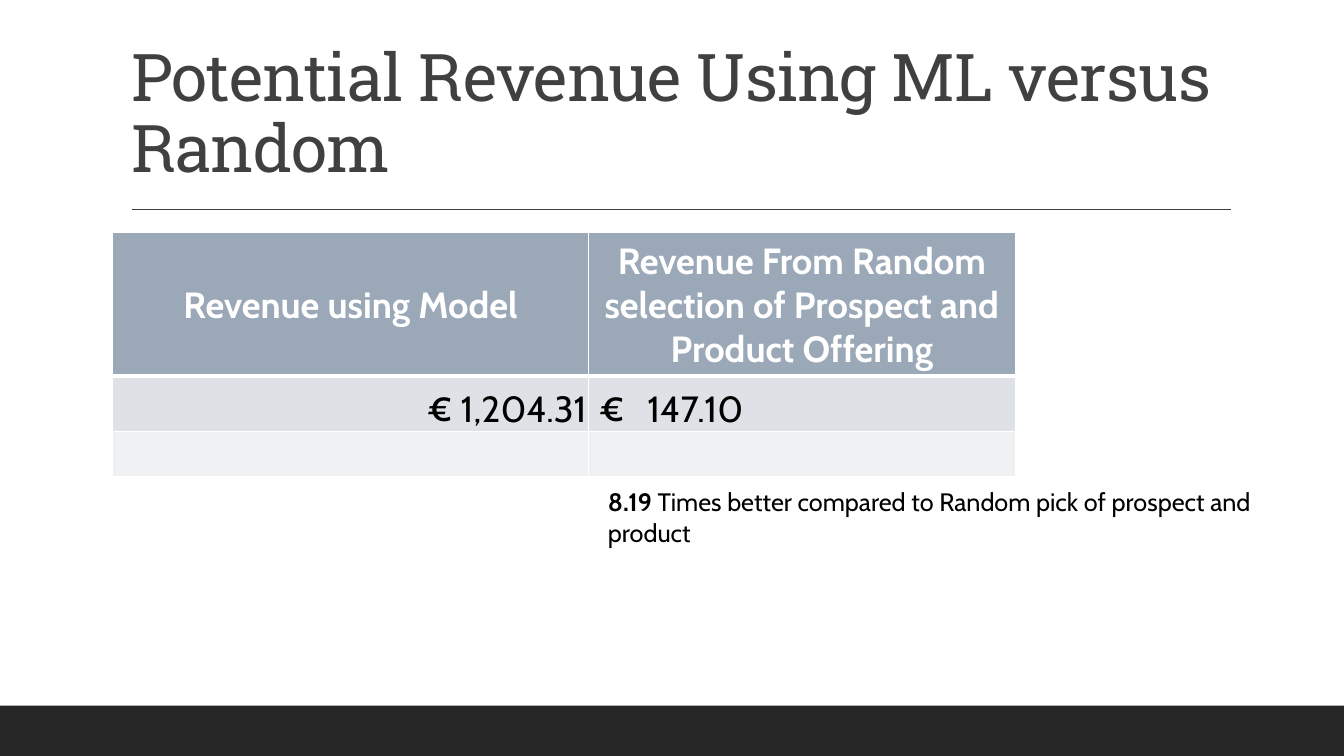
"""Build the slide comparing potential revenue from ML with random selection."""
from dataclasses import dataclass

from lxml.etree import SubElement
from pptx import Presentation
from pptx.dml.color import RGBColor as Rgb
from pptx.enum.shapes import MSO_CONNECTOR as Connector, MSO_SHAPE as Shape
from pptx.enum.text import MSO_ANCHOR as Anchor, MSO_AUTO_SIZE as AutoSize, PP_ALIGN as Align
from pptx.oxml import parse_xml
from pptx.oxml.ns import nsdecls, qn
from pptx.util import Inches, Pt


@dataclass(frozen=True)
class Theme:
    heading: str = "Roboto Slab"
    body: str = "Cabin"
    title_size: int = 47
    table_size: int = 26
    caption_size: int = 18
    white: str = "FFFFFF"
    black: str = "000000"
    charcoal: str = "404040"
    footer: str = "262626"
    header: str = "9BA8B7"
    bands: tuple = ("DEE1E6", "EFF1F3")


theme = Theme()
prs = Presentation()
prs.slide_width, prs.slide_height = Inches(13.33), Inches(7.5)


def place(left, top, width, height):
    """Turn percentages of the slide into lengths."""
    w, h = prs.slide_width, prs.slide_height
    return [int(share * side / 100) for share, side in zip((left, top, width, height), (w, h, w, h))]


def write(paragraph, text, size=theme.table_size, font=theme.body, color=theme.black,
          bold=False, align=Align.LEFT):
    """Add one formatted run to a paragraph."""
    paragraph.alignment = align
    run = paragraph.add_run()
    run.text = text
    run.font.size, run.font.name, run.font.bold = Pt(size), font, bold
    run.font.color.rgb = Rgb.from_string(color)
    return run


slide = prs.slides.add_slide(prs.slide_layouts[5])
shapes = slide.shapes

footer_band = shapes.add_shape(Shape.RECTANGLE, *place(0, 93.33, 100, 6.67))
footer_band.shadow.inherit = False
footer_band.fill.solid()
footer_band.fill.fore_color.rgb = Rgb.from_string(theme.footer)
footer_band.line.fill.background()

rule_left, rule_top, rule_width, _ = place(9.83, 27.73, 81.77, 0)
title_rule = shapes.add_connector(
    Connector.STRAIGHT, rule_left, rule_top, rule_left + rule_width, rule_top)
title_rule.line.color.rgb = Rgb.from_string(theme.charcoal)
title_rule.line.width = Pt(1)
SubElement(title_rule._element.spPr, qn("a:effectLst"))

title = shapes.title
title.left, title.top, title.width, title.height = place(9, 4.13, 82.52, 21.2)
heading = title.text_frame
heading.word_wrap, heading.auto_size = True, AutoSize.NONE
heading.vertical_anchor = Anchor.BOTTOM
heading.paragraphs[0].line_spacing = 0.9
heading_run = write(heading.paragraphs[0], "Potential Revenue Using ML versus Random",
                    size=theme.title_size, font=theme.heading, color=theme.charcoal)
heading_run.font._element.set("spc", "-50")

header_format = dict(color=theme.white, bold=True, align=Align.CENTER)
revenue_rows = [
    [("Revenue using Model", header_format),
     ("Revenue From Random selection of Prospect and Product Offering", header_format)],
    [("€ 1,204.31", dict(align=Align.RIGHT)), ("€\t147.10", {})],
    [("", {}), ("", {})],
]
row_fills = (theme.header, *theme.bands)
row_anchors = (Anchor.MIDDLE, Anchor.BOTTOM, Anchor.TOP)
row_borders = (dict(L=1, R=1, T=1, B=3), dict(L=1, R=1, T=3, B=1), dict(L=1, R=1, T=1, B=1))

revenue = shapes.add_table(3, 2, *place(8.4, 30.8, 67.14, 32.26)).table
for column, share in zip(revenue.columns, (35.41, 31.73)):
    column.width = place(0, 0, share, 0)[2]
for row, share in zip(revenue.rows, (18.93, 7.33, 6)):
    row.height = place(0, 0, 0, share)[3]

for r, entries in enumerate(revenue_rows):
    for c, (text, style) in enumerate(entries):
        cell = revenue.cell(r, c)
        cell.fill.solid()
        cell.fill.fore_color.rgb = Rgb.from_string(row_fills[r])
        cell.vertical_anchor = row_anchors[r]
        cell.margin_left = cell.margin_right = cell.margin_top = Inches(0.02)
        cell.margin_bottom = 0
        if text:
            write(cell.text_frame.paragraphs[0], text, **style)
        for i, (side, width) in enumerate(row_borders[r].items()):
            cell._tc.tcPr.insert(i, parse_xml(
                f'<a:ln{side} {nsdecls("a")} w="{Pt(width)}"><a:solidFill>'
                f'<a:srgbClr val="{theme.white}"/></a:solidFill></a:ln{side}>'))

random_revenue = revenue.cell(1, 1)
random_revenue.margin_left = Inches(0.1)
tabs = SubElement(random_revenue.text_frame.paragraphs[0]._p.get_or_add_pPr(), qn("a:tabLst"))
SubElement(tabs, qn("a:tab"), pos=str(Inches(0.48)), algn="l")

caption = shapes.add_textbox(*place(44.49, 63.73, 50.04, 9.47)).text_frame
caption.word_wrap, caption.auto_size = True, AutoSize.SHAPE_TO_FIT_TEXT
for text, bold in (("8.19 ", True),
                   ("Times better compared to Random pick of prospect and product", False)):
    write(caption.paragraphs[0], text, size=theme.caption_size, bold=bold)

prs.save("out.pptx")
